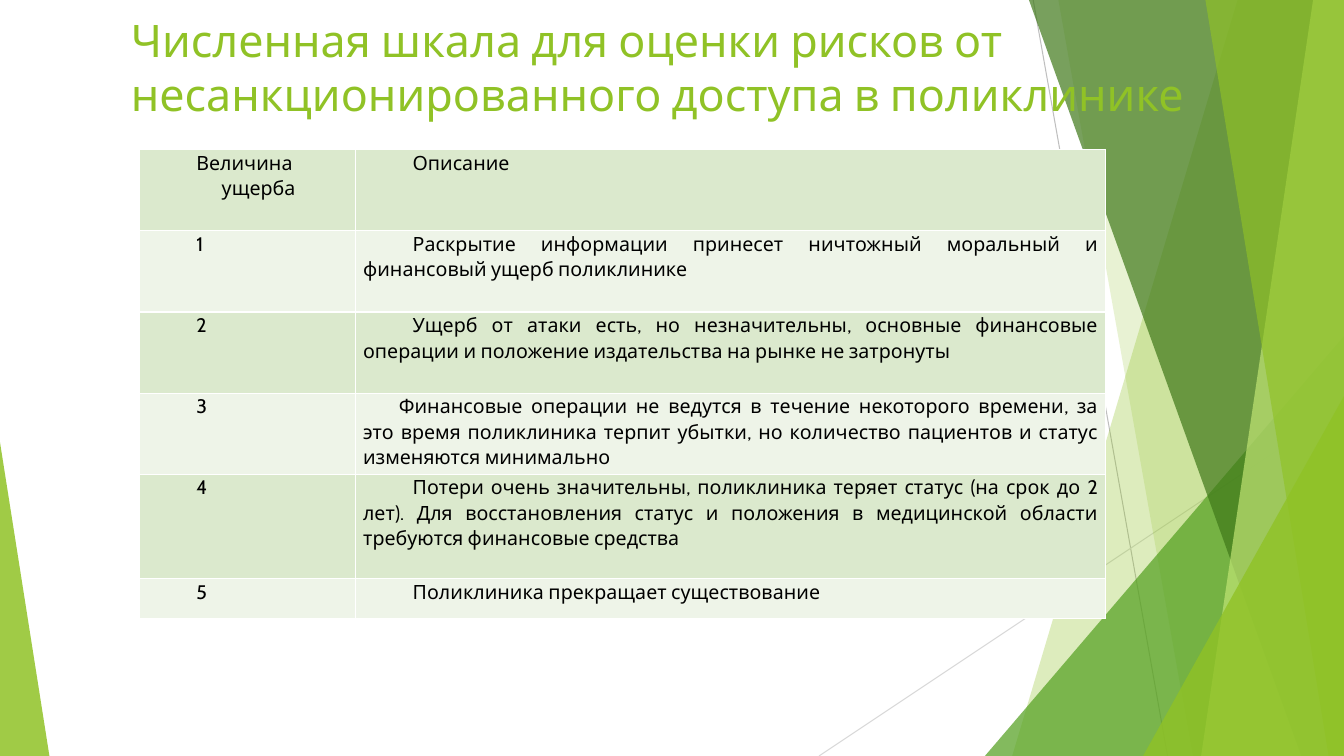
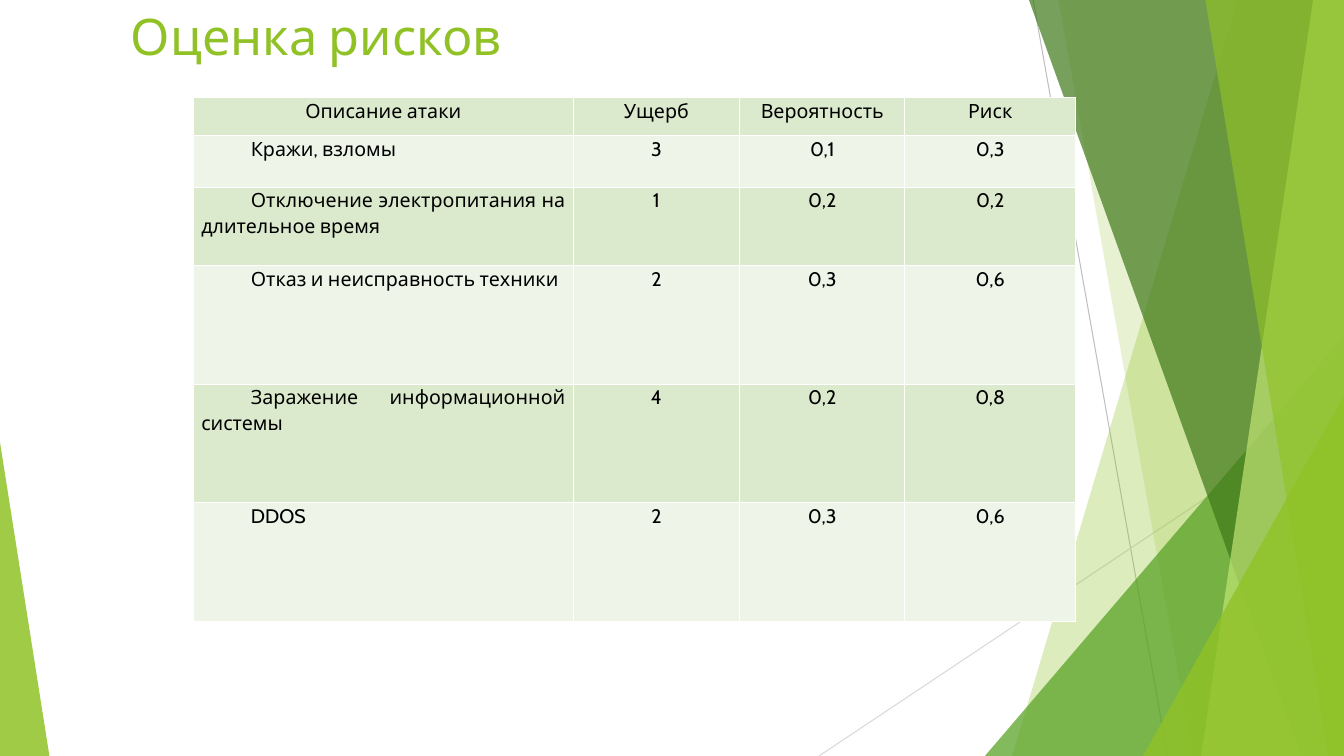
from lxml import etree
from pptx import Presentation
from pptx import util as u
from pptx.dml import color
from pptx.enum import shapes, text
from pptx.oxml import ns

WIDTH, HEIGHT = 960, 540
JUSTIFIED = {"alignment": text.PP_ALIGN.JUSTIFY, "indent": 35.4}
CENTRED = {"alignment": text.PP_ALIGN.CENTER, "indent": 0}


def rgb(value):
    """Return the colour for a hex string."""
    return color.RGBColor.from_string(value)


def assign(target, values):
    """Set every attribute named in values on target."""
    for name, value in values.items():
        setattr(target, name, value)


def add_element(parent, tag, **attributes):
    """Append a child element with the given attributes."""
    return etree.SubElement(parent, ns.qn(tag), attributes)


class Deck:
    """Holds the style and the slide being built."""

    font = "Cabin"
    green, leaf, forest, lime = "90C226", "54A021", "3F7819", "C0E474"
    ink, border = "000000", "FFFFFF"
    bands = ("DBE9CD", "EEF4E8")
    body_size = 14
    title_frame = {"word_wrap": True, "vertical_anchor": text.MSO_ANCHOR.TOP}
    cell_format = {
        "margin_left": u.Pt(5.4), "margin_right": u.Pt(5.4),
        "margin_top": 0, "margin_bottom": 0,
        "vertical_anchor": text.MSO_ANCHOR.TOP,
    }

    def __init__(self):
        """Start an empty widescreen presentation."""
        self.presentation = Presentation()
        assign(self.presentation, {"slide_width": u.Pt(WIDTH), "slide_height": u.Pt(HEIGHT)})
        self.slide = None

    def new_slide(self, title, size, top=0):
        """Add a slide with the shared backdrop and a title."""
        layout = self.presentation.slide_layouts[6]
        self.slide = self.presentation.slides.add_slide(layout)
        self.backdrop()
        self.title(title, size, top)

    def backdrop(self):
        """Draw the thin lines and translucent green facets."""
        self.line(738, 0, 834, HEIGHT, "BFBFBF")
        self.line(WIDTH, 290, 585, HEIGHT, "D9D9D9")
        self.facet(884, 723, self.green, 30)
        self.facet(756, 852, self.green, 20)
        self.triangle(WIDTH - 256.5, 256.5, 300, 1, self.leaf, 72)
        self.facet(735, 929.5, self.forest, 70)
        self.facet(938, 858, self.lime, 70)
        self.facet(861, 949, self.green, 65)
        self.triangle(WIDTH - 143.5, 143.5, 257, 1, self.green, 80)
        self.triangle(0, 35.3, 224, 0, self.green, 85)

    def line(self, x1, y1, x2, y2, hex_color):
        """Draw a thin straight line."""
        points = [u.Pt(value) for value in (x1, y1, x2, y2)]
        connector = self.slide.shapes.add_connector(shapes.MSO_CONNECTOR.STRAIGHT, *points)
        connector.line.color.rgb = rgb(hex_color)
        connector.line.width = u.Pt(0.75)
        add_element(connector._element.spPr, "a:effectLst")

    def facet(self, top_x, bottom_x, hex_color, opacity):
        """Fill the area between a slanted edge and the right side of the slide."""
        builder = self.slide.shapes.build_freeform(u.Pt(top_x), 0)
        corners = [(WIDTH, 0), (WIDTH, HEIGHT), (bottom_x, HEIGHT)]
        builder.add_line_segments([(u.Pt(x), u.Pt(y)) for x, y in corners])
        self.tint(builder.convert_to_shape(), hex_color, opacity)

    def triangle(self, left, width, height, apex, hex_color, opacity):
        """Stand a right triangle on the bottom edge of the slide."""
        shape = self.slide.shapes.add_shape(
            shapes.MSO_SHAPE.ISOSCELES_TRIANGLE,
            u.Pt(left), u.Pt(HEIGHT - height), u.Pt(width), u.Pt(height))
        shape.adjustments[0] = apex
        self.tint(shape, hex_color, opacity)

    def tint(self, shape, hex_color, opacity):
        """Give a shape a translucent fill with no line or shadow."""
        shape.shadow.inherit = False
        shape.line.fill.background()
        shape.fill.solid()
        shape.fill.fore_color.rgb = rgb(hex_color)
        solid = shape._element.spPr.find(ns.qn("a:solidFill"))
        add_element(solid[0], "a:alpha", val=str(opacity * 1000))

    def styled_run(self, paragraph, content, size, hex_color):
        """Put one styled run into a paragraph."""
        run = paragraph.add_run()
        run.text = content
        assign(run.font, {"name": self.font, "size": u.Pt(size)})
        run.font.color.rgb = rgb(hex_color)

    def title(self, content, size, top):
        """Place the slide title."""
        box = self.slide.shapes.add_textbox(u.Pt(86.4), u.Pt(top), u.Pt(792), u.Pt(114.5))
        assign(box.text_frame, self.title_frame)
        self.styled_run(box.text_frame.paragraphs[0], content, size, self.green)

    def table(self, left, top, widths, heights, rows, style_at):
        """Draw a banded table, styling each cell by its row and column."""
        frame = self.slide.shapes.add_table(
            len(rows), len(widths), u.Pt(left), u.Pt(top),
            u.Pt(sum(widths)), u.Pt(sum(heights)))
        table = frame.table
        assign(table, {"first_row": False, "horz_banding": False})
        for column, width in zip(table.columns, widths):
            column.width = u.Pt(width)
        for row, height in zip(table.rows, heights):
            row.height = u.Pt(height)
        for i, row in enumerate(rows):
            for j, content in enumerate(row):
                self.cell(table.cell(i, j), content, style_at(i, j), self.bands[i % 2])

    def cell(self, cell, content, style, fill):
        """Fill one cell with a text or with a list of texts and overrides."""
        assign(cell, self.cell_format)
        for side in ("a:lnL", "a:lnR", "a:lnT", "a:lnB"):
            edge = add_element(cell._tc.get_or_add_tcPr(), side, w=str(u.Pt(1)))
            add_element(add_element(edge, "a:solidFill"), "a:srgbClr", val=self.border)
        cell.fill.solid()
        cell.fill.fore_color.rgb = rgb(fill)
        parts = [(content, {})] if isinstance(content, str) else content
        for index, (words, overrides) in enumerate(parts):
            frame = cell.text_frame
            paragraph = frame.add_paragraph() if index else frame.paragraphs[0]
            values = {"line_spacing": 1.07, "space_after": u.Pt(8), **style, **overrides}
            indent = values.pop("indent")
            assign(paragraph, values)
            paragraph._p.get_or_add_pPr().set("indent", str(u.Pt(indent)))
            self.styled_run(paragraph, words, self.body_size, self.ink)


def main():
    """Build both slides and save them."""
    deck = Deck()
    deck.new_slide("Численная шкала для оценки рисков от несанкционированного "
                   "доступа в поликлинике", 32, 5.8)
    damage_scale = [
        ([("Величина", {"space_after": 0}), ("ущерба", {"indent": 53.5})], "Описание"),
        ("1", "Раскрытие информации принесет ничтожный моральный и финансовый "
              "ущерб поликлинике"),
        ("2", "Ущерб от атаки есть, но незначительны, основные финансовые операции "
              "и положение издательства на рынке не затронуты"),
        ("3", [("Финансовые операции не ведутся в течение некоторого времени, за это "
                "время поликлиника терпит убытки, но количество пациентов и статус "
                "изменяются минимально", {"indent": 25.5, "space_after": 0})]),
        ("4", "Потери очень значительны, поликлиника теряет статус (на срок до 2 лет). "
              "Для восстановления статус и положения в медицинской области требуются "
              "финансовые средства"),
        ("5", "Поликлиника прекращает существование"),
    ]
    deck.table(99.5, 106.8, [154.5, 535.7], [58] * 4 + [74.5, 28.3], damage_scale,
               lambda i, j: JUSTIFIED)

    deck.new_slide("Оценка рисков", 36)
    attacks = [
        ("Описание атаки", "Ущерб", "Вероятность", "Риск"),
        ("Кражи, взломы", "3", "0,1", "0,3"),
        ("Отключение электропитания на длительное время", "1", "0,2", "0,2"),
        ("Отказ и неисправность техники", "2", "0,3", "0,6"),
        ("Заражение информационной системы", "4", "0,2", "0,8"),
        ("DDOS", "2", "0,3", "0,6"),
    ]
    deck.table(138.4, 69.6, [271, 119, 118, 122], [27.3, 36.8, 56.1] + [84.7] * 3, attacks,
               lambda i, j: JUSTIFIED if i and not j else CENTRED)
    deck.presentation.save("out.pptx")


if __name__ == "__main__":
    main()
